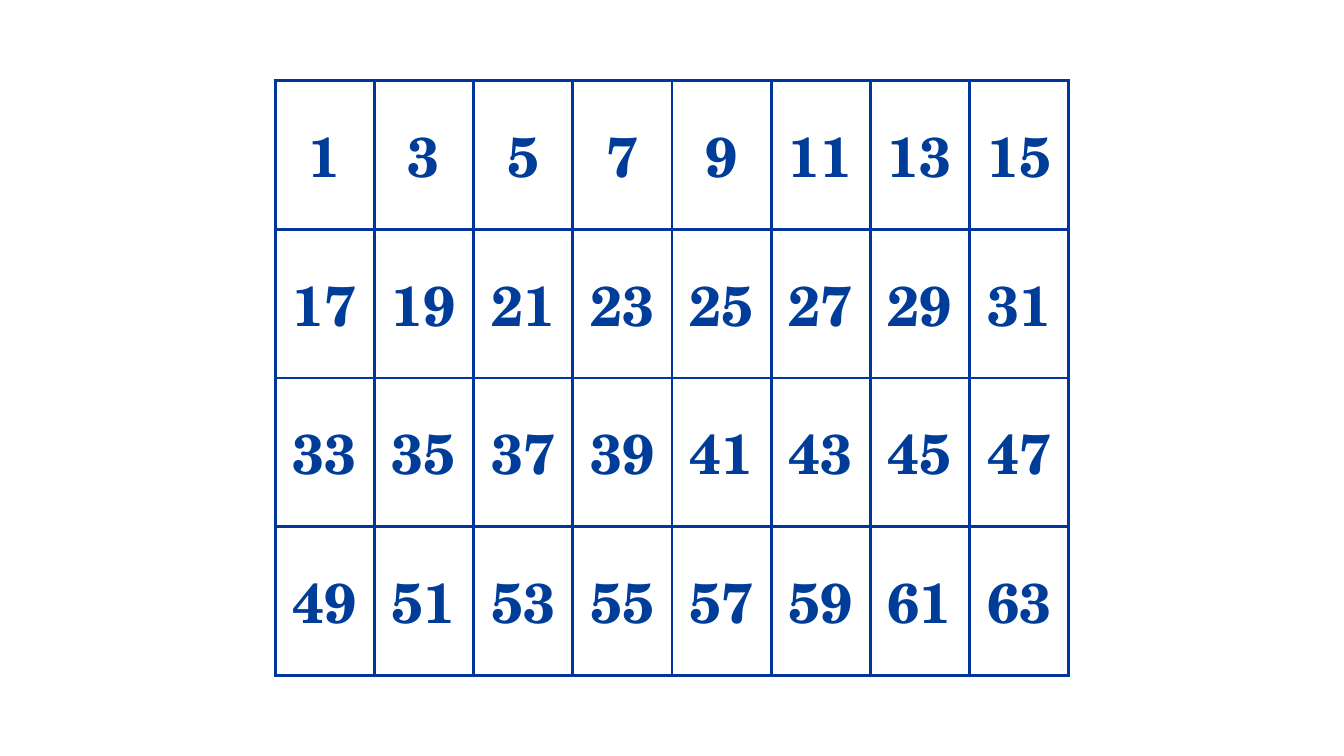
"""Build a slide with a grid of the odd numbers from 1 to 63."""
from lxml import etree
from pptx import Presentation
from pptx.dml.color import RGBColor
from pptx.enum.text import MSO_ANCHOR, PP_ALIGN
from pptx.oxml.ns import qn
from pptx.util import Cm, Pt

MIDDLE = MSO_ANCHOR.MIDDLE
CENTER = PP_ALIGN.CENTER
INK = RGBColor(0x00, 0x3D, 0x98)
RULE = RGBColor(0x00, 0x35, 0x9B)
FONT = "TeX Gyre Schola"
ROWS, COLS = 4, 8
WIDE, HIGH = Cm(2.5), Cm(3.75)
INSET = Cm(0.25)


def add_rules(cell):
    props = cell._tc.get_or_add_tcPr()
    for side in ("a:lnL", "a:lnR", "a:lnT", "a:lnB"):
        line = etree.SubElement(props, qn(side), w=str(Pt(2.25)))
        fill = etree.SubElement(line, qn("a:solidFill"))
        etree.SubElement(fill, qn("a:srgbClr"), val=str(RULE))


def fill_cell(cell, number):
    cell.text_frame.text = str(number)
    cell.vertical_anchor = MIDDLE
    cell.margin_left = cell.margin_right = INSET
    cell.margin_top = cell.margin_bottom = INSET
    para = cell.text_frame.paragraphs[0]
    para.alignment = CENTER
    font = para.runs[0].font
    font.name = FONT
    font.size = Pt(40)
    font.bold = True
    font.color.rgb = INK
    add_rules(cell)
    cell.fill.background()


def add_grid(slide, left, top):
    frame = slide.shapes.add_table(ROWS, COLS, left, top, COLS * WIDE, ROWS * HIGH)
    table = frame.table
    table.first_row = False
    table.horz_banding = False
    for col in table.columns:
        col.width = WIDE
    for row in table.rows:
        row.height = HIGH
    for index, cell in enumerate(table.iter_cells()):
        fill_cell(cell, 2 * index + 1)


def main():
    deck = Presentation()
    deck.slide_width, deck.slide_height = Cm(33.87), Cm(19.05)
    slide = deck.slides.add_slide(deck.slide_layouts[6])
    left = (deck.slide_width - COLS * WIDE) // 2
    top = (deck.slide_height - ROWS * HIGH) // 2
    add_grid(slide, left, top)
    deck.save("out.pptx")


if __name__ == "__main__":
    main()
